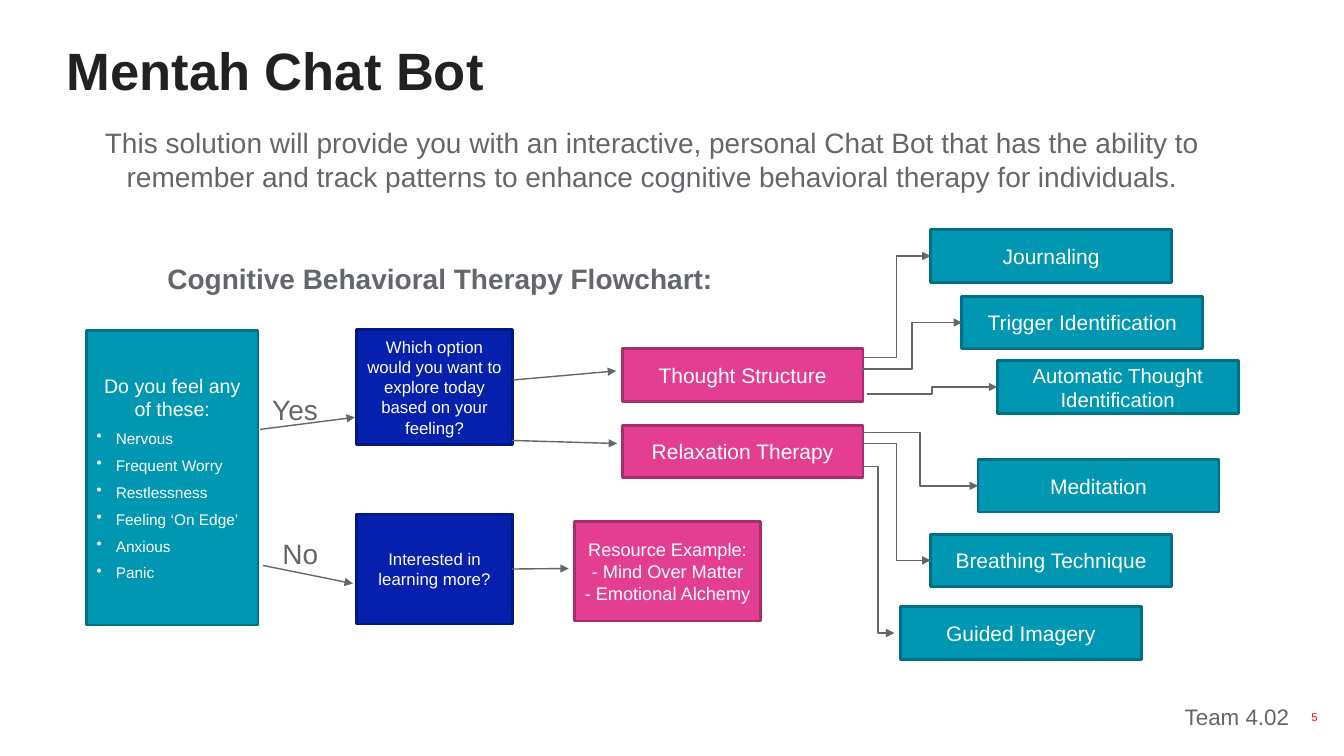
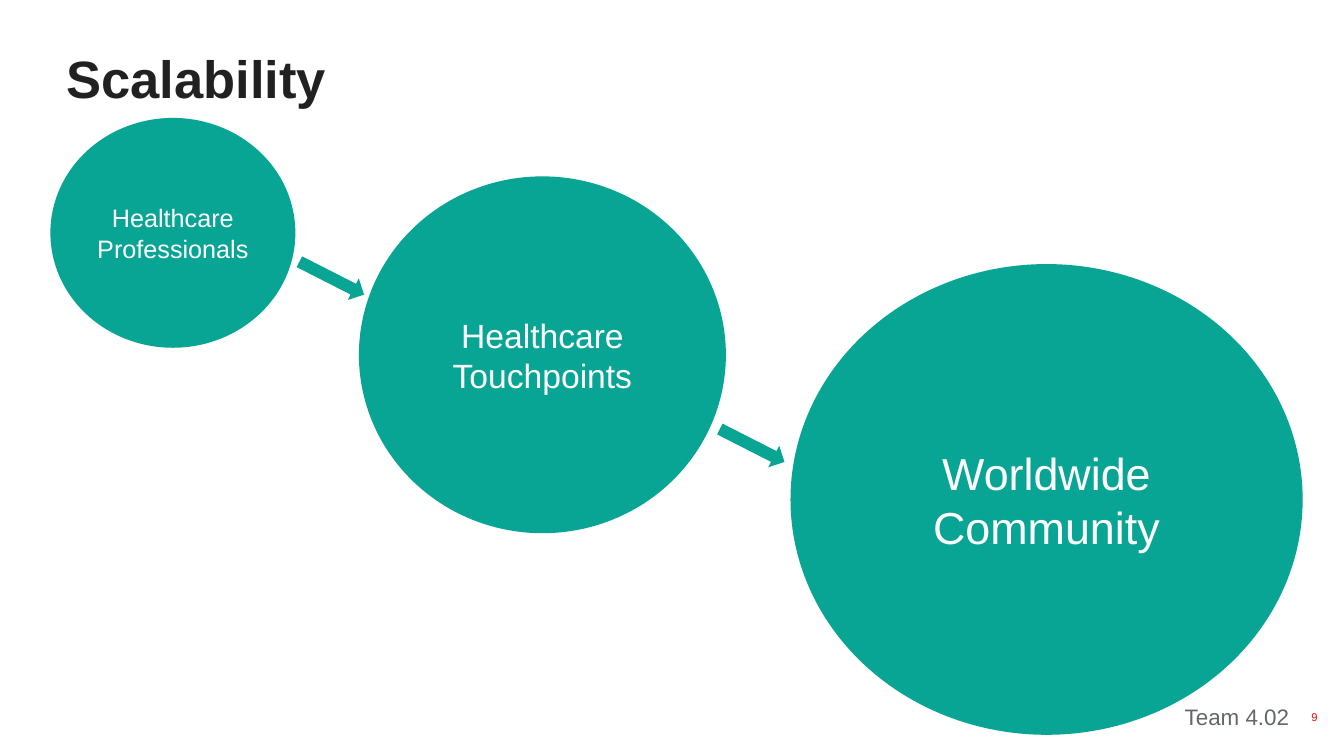
from lxml import etree
from pptx import Presentation
from pptx.dml.color import RGBColor
from pptx.enum.shapes import MSO_CONNECTOR, MSO_SHAPE
from pptx.enum.text import MSO_ANCHOR, PP_ALIGN
from pptx.oxml.ns import qn
from pptx.util import Inches, Pt

RECTANGLE, OVAL, ARROW = MSO_SHAPE.RECTANGLE, MSO_SHAPE.OVAL, MSO_SHAPE.RIGHT_ARROW
STRAIGHT, ELBOW = MSO_CONNECTOR.STRAIGHT, MSO_CONNECTOR.ELBOW
LEFT, CENTER, RIGHT = PP_ALIGN.LEFT, PP_ALIGN.CENTER, PP_ALIGN.RIGHT
TOP, MIDDLE = MSO_ANCHOR.TOP, MSO_ANCHOR.MIDDLE

FONT = "Arial"
INK, GRAY, WHITE, RED = "212121", "63666A", "FFFFFF", "FF0000"
GREEN = "08A595"
# Fill and outline pairs
TEAL = ("0097B3", "007084")
NAVY = ("0420AC", "03187F")
PINK = ("E33E91", "A82E6B")
RIGHT_SIDE = 3


def color(value):
    return RGBColor.from_string(value)


class Deck:
    """Holds the shared style and the slide being built."""

    def __init__(self):
        self.presentation = Presentation()
        self.presentation.slide_width = Inches(13.33)
        self.presentation.slide_height = Inches(7.5)
        self.slide = None

    def start_slide(self, title, title_top):
        self.slide = self.presentation.slides.add_slide(self.presentation.slide_layouts[6])
        self.text(title, 0.66, title_top, 11.1, 0.6, 37.5, INK, bold=True)

    def footer(self, number):
        self.text("Team 4.02", 11.75, 6.98, 1.31, 0.27, 16)
        self.text(str(number), 12.31, 6.93, 0.76, 0.36, 8, RED, align=RIGHT, anchor=MIDDLE)

    def style(self, paragraph, size, value, align, bold=False):
        paragraph.alignment = align
        paragraph.font.name = FONT
        paragraph.font.size = Pt(size)
        paragraph.font.bold = bold
        paragraph.font.color.rgb = color(value)

    def text(self, words, left, top, width, height, size, value=GRAY,
             align=LEFT, anchor=TOP, bold=False):
        box = self.slide.shapes.add_textbox(
            Inches(left), Inches(top), Inches(width), Inches(height))
        frame = box.text_frame
        frame.word_wrap = True
        frame.vertical_anchor = anchor
        frame.margin_left = frame.margin_right = frame.margin_top = frame.margin_bottom = 0
        frame.text = words
        self.style(frame.paragraphs[0], size, value, align, bold)

    def shape(self, kind, left, top, width, height, fill, outline=None, rotation=0):
        shape = self.slide.shapes.add_shape(
            kind, Inches(left), Inches(top), Inches(width), Inches(height))
        shape.shadow.inherit = False
        shape.rotation = rotation
        shape.fill.solid()
        shape.fill.fore_color.rgb = color(fill)
        if outline:
            shape.line.color.rgb = color(outline)
            shape.line.width = Pt(2)
        else:
            shape.line.fill.background()
        return shape

    def label(self, shape, lines, size):
        frame = shape.text_frame
        frame.word_wrap = True
        frame.vertical_anchor = MIDDLE
        for index, line in enumerate(lines):
            paragraph = frame.paragraphs[0] if index == 0 else frame.add_paragraph()
            paragraph.text = line
            self.style(paragraph, size, WHITE, CENTER)

    def box(self, lines, left, top, width, height, colors, size):
        shape = self.shape(RECTANGLE, left, top, width, height, *colors)
        self.label(shape, lines, size)
        return shape

    def circle(self, lines, left, top, width, height, size):
        self.label(self.shape(OVAL, left, top, width, height, GREEN), lines, size)

    def bullets(self, shape, items, size):
        for item in items:
            paragraph = shape.text_frame.add_paragraph()
            paragraph.text = item
            properties = paragraph._p.get_or_add_pPr()
            properties.set("marL", str(Inches(0.19)))
            properties.set("indent", str(-Inches(0.19)))
            etree.SubElement(properties, qn("a:buChar")).set("char", "•")
            paragraph.space_before = Pt(6)
            self.style(paragraph, size, WHITE, LEFT)

    def arrow(self, kind, start, end, source=None):
        connector = self.slide.shapes.add_connector(
            kind, *(Inches(length) for length in (*start, *end)))
        if source is not None:
            connector.begin_connect(source, RIGHT_SIDE)
        connector.line.color.rgb = color(GRAY)
        connector.line.width = Pt(1)
        line = connector.line._get_or_add_ln()
        etree.SubElement(line, qn("a:tailEnd")).set("type", "triangle")
        etree.SubElement(connector._element.spPr, qn("a:effectLst"))


def build_chat_bot(deck):
    deck.start_slide("Mentah Chat Bot", 0.38)
    deck.text("This solution will provide you with an interactive, personal Chat Bot that has "
              "the ability to remember and track patterns to enhance cognitive behavioral "
              "therapy for individuals.", 0.66, 1.25, 11.62, 0.7, 20, align=CENTER)
    deck.text("Cognitive Behavioral Therapy Flowchart:", 1.66, 2.59, 6, 0.35, 20, bold=True)

    # Opening question and its two answers
    feelings = deck.box(["Do you feel any of these:"], 0.86, 3.28, 1.7, 2.92, TEAL, 14)
    deck.bullets(feelings, ["Nervous", "Frequent Worry", "Restlessness",
                            "Feeling ‘On Edge’", "Anxious", "Panic"], 11)
    deck.text("Yes", 2.7, 3.89, 0.6, 0.34, 20)
    deck.text("No", 2.8, 5.32, 0.5, 0.34, 20)
    deck.box(["Which option would you want to explore today based on your feeling?"],
             3.54, 3.27, 1.54, 1.14, NAVY, 12)
    interested = deck.box(["Interested in learning more?"], 3.54, 5.1, 1.54, 1.09, NAVY, 12)

    # Therapy branches and resources
    for name, top in (("Thought Structure", 3.46), ("Relaxation Therapy", 4.22)):
        deck.box([name], 6.17, top, 2.39, 0.52, PINK, 15)
    deck.box(["Resource Example:", "- Mind Over Matter", "- Emotional Alchemy"],
             5.7, 5.17, 1.84, 0.99, PINK, 13)

    # Straight arrows
    for start, end in (((2.58, 4.26), (3.52, 4.14)), ((2.61, 5.61), (3.5, 5.79)),
                       ((5.09, 3.77), (6.11, 3.68)), ((5.08, 4.37), (6.12, 4.4))):
        deck.arrow(STRAIGHT, start, end)
    deck.arrow(STRAIGHT, (5.08, 5.65), (5.64, 5.64), interested)

    # Techniques: name, left, top, text size, arrow start, gap before the box
    techniques = (
        ("Journaling", 9.23, 2.28, 15, (8.55, 3.55), 0),
        ("Trigger Identification", 9.54, 2.94, 15, (8.55, 3.66), 0),
        ("Automatic Thought Identification", 9.89, 3.58, 14.5, (8.6, 3.91), 0),
        ("Meditation", 9.7, 4.56, 15, (8.55, 4.29), 0),
        ("Breathing Technique", 9.23, 5.3, 15, (8.55, 4.4), 0),
        ("Guided Imagery", 8.93, 6.02, 15, (8.55, 4.63), 0.06),
    )
    height = 0.52
    for name, left, top, size, start, gap in techniques:
        deck.box([name], left, top, 2.39, height, TEAL, size)
        deck.arrow(ELBOW, start, (left - gap, top + height / 2))
    deck.footer(5)


def build_scalability(deck):
    deck.start_slide("Scalability", 0.46)
    # Growing circles
    deck.circle(["Healthcare", "Professionals"], 0.5, 1.17, 2.43, 2.28, 18)
    deck.circle(["Healthcare", "Touchpoints"], 3.56, 1.75, 3.64, 3.54, 24)
    deck.circle(["Worldwide", "Community"], 7.84, 2.62, 5.08, 4.67, 32)
    # Arrows between them
    for left, top in ((2.93, 2.64), (7.1, 4.3)):
        deck.shape(ARROW, left, top, 0.72, 0.24, GREEN, rotation=27)
    deck.footer(9)


def main():
    deck = Deck()
    build_chat_bot(deck)
    build_scalability(deck)
    deck.presentation.save("out.pptx")


if __name__ == "__main__":
    main()
